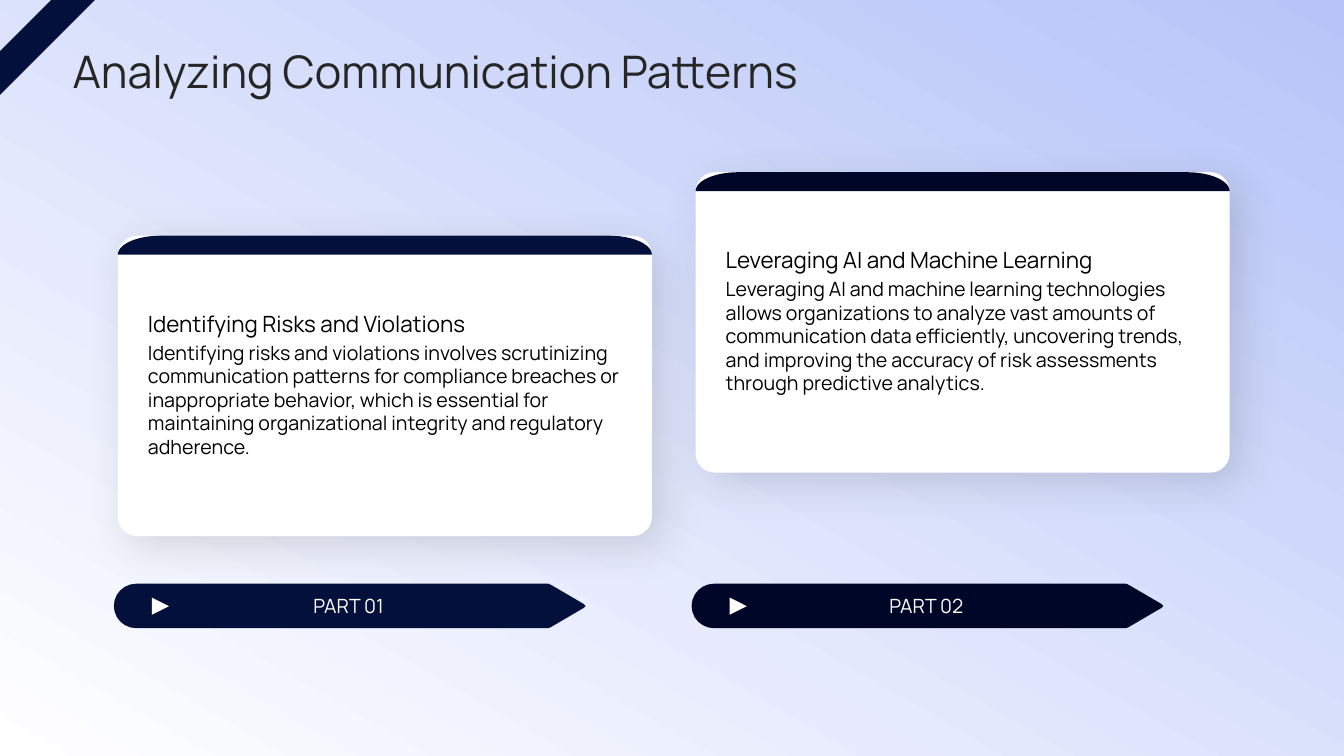
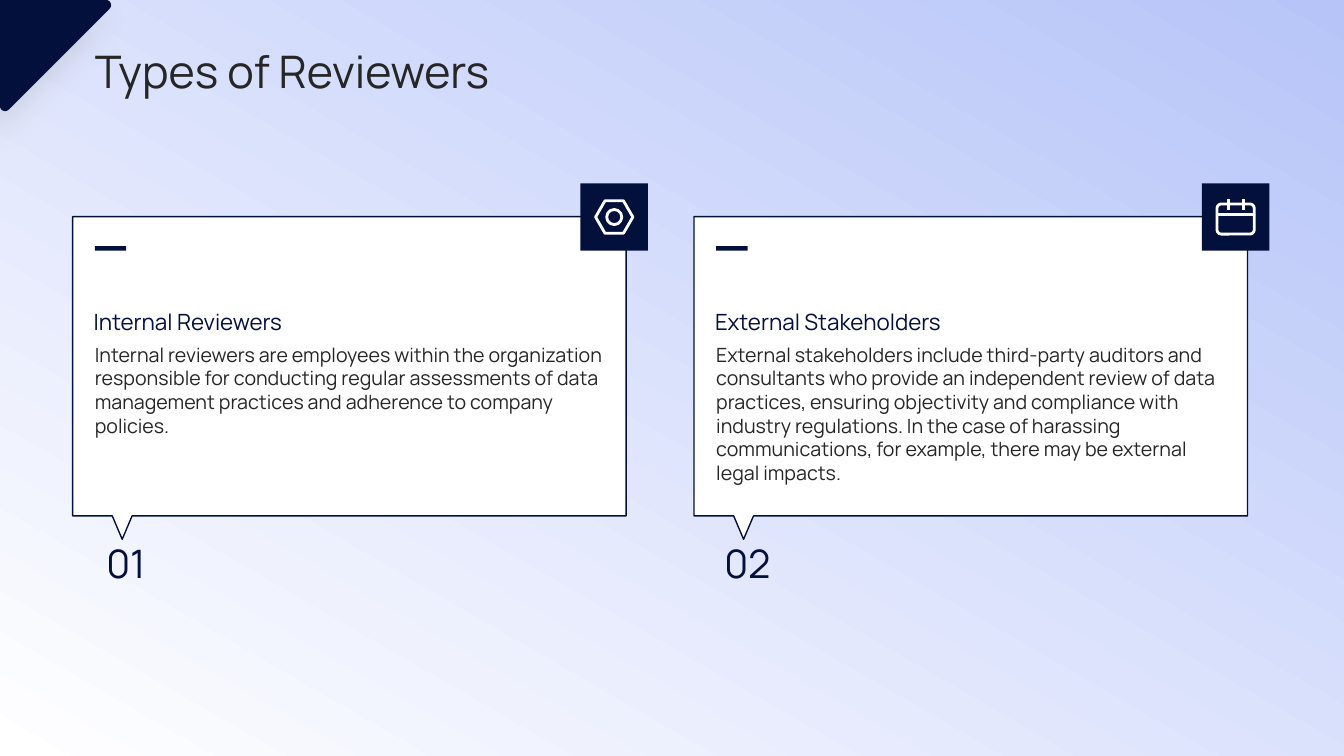
"""Build two slides on reviewing communications."""
from math import cos, radians, sin

from lxml import etree
from pptx import Presentation
from pptx.dml.color import RGBColor
from pptx.enum.shapes import MSO_CONNECTOR, MSO_SHAPE
from pptx.enum.text import MSO_ANCHOR, MSO_AUTO_SIZE, PP_ALIGN
from pptx.oxml.ns import qn
from pptx.util import Cm, Pt

RECT, ROUND = MSO_SHAPE.RECTANGLE, MSO_SHAPE.ROUNDED_RECTANGLE
STRIPE, PLAY = MSO_SHAPE.DIAGONAL_STRIPE, MSO_SHAPE.ISOSCELES_TRIANGLE
HEX, OVAL = MSO_SHAPE.HEXAGON, MSO_SHAPE.OVAL
STRAIGHT = MSO_CONNECTOR.STRAIGHT
TOP, MIDDLE, BOTTOM = MSO_ANCHOR.TOP, MSO_ANCHOR.MIDDLE, MSO_ANCHOR.BOTTOM
LEFT, CENTER = PP_ALIGN.LEFT, PP_ALIGN.CENTER
NO_FIT = MSO_AUTO_SIZE.NONE

FONT = "Manrope"
NAVY, NIGHT, INK = "03103B", "000627", "262626"
WHITE, BLACK, SKY = "FFFFFF", "000000", "B6C4F8"
TITLE_ONLY = 5

PARTS = [
    ("PART 01", 5.94, NAVY, "Identifying Risks and Violations",
     "Identifying risks and violations involves scrutinizing communication "
     "patterns for compliance breaches or inappropriate behavior, which is "
     "essential for maintaining organizational integrity and regulatory "
     "adherence."),
    ("PART 02", 4.34, NIGHT, "Leveraging AI and Machine Learning",
     "Leveraging AI and machine learning technologies allows organizations to "
     "analyze vast amounts of communication data efficiently, uncovering "
     "trends, and improving the accuracy of risk assessments through "
     "predictive analytics."),
]
GROUPS = [
    ("01", "Internal Reviewers",
     "Internal reviewers are employees within the organization responsible "
     "for conducting regular assessments of data management practices and "
     "adherence to company policies."),
    ("02", "External Stakeholders",
     "External stakeholders include third-party auditors and consultants who "
     "provide an independent review of data practices, ensuring objectivity "
     "and compliance with industry regulations. In the case of harassing "
     "communications, for example, there may be external legal impacts."),
]


def rgb(code):
    """Turn a hex string into a colour."""
    return RGBColor.from_string(code)


def arc(x, y, wide, high, start, stop, steps=12):
    """List points on an ellipse, with angles clockwise from the right."""
    turns = [radians(start + (stop - start) * i / steps)
             for i in range(steps + 1)]
    return [(x + wide * cos(t), y + high * sin(t)) for t in turns]


class Deck:
    """Holds the style and the current slide; lengths are centimetres."""

    def __init__(self):
        """Set the slide size and the shared backdrop."""
        self.prs = Presentation()
        self.prs.slide_width, self.prs.slide_height = Cm(33.87), Cm(19.05)
        self.slide = None
        fill = self.prs.slide_master.background.fill
        fill.gradient()
        fill.gradient_angle = 240
        for stop, code in zip(fill.gradient_stops, (SKY, WHITE)):
            stop.color.rgb = rgb(code)

    def start(self, title, x):
        """Add a slide and format its title."""
        layout = self.prs.slide_layouts[TITLE_ONLY]
        self.slide = self.prs.slides.add_slide(layout)
        self.label(self.slide.shapes.title, (x, 1.19, 30, 1.19), title, 32,
                   INK, MIDDLE)

    def label(self, shape, place, words, size, color, anchor, align=LEFT):
        """Place a shape and set its text."""
        shape.left, shape.top, shape.width, shape.height = map(Cm, place)
        frame = shape.text_frame
        frame.word_wrap = True
        frame.auto_size = NO_FIT
        frame.vertical_anchor = anchor
        frame.margin_left = frame.margin_right = 0
        frame.margin_top = frame.margin_bottom = 0
        par = frame.paragraphs[0]
        par.text = words
        par.alignment = align
        font = par.font
        font.name, font.size, font.bold = FONT, Pt(size), False
        font.color.rgb = rgb(color)

    def text(self, place, words, size, color, anchor=TOP, align=LEFT):
        """Add a text box."""
        box = self.slide.shapes.add_textbox(*map(Cm, place))
        self.label(box, place, words, size, color, anchor, align)

    def paint(self, shape, fill, line=None, width=1):
        """Set the fill and line of a shape and drop its shadow."""
        shape.shadow.inherit = False
        if fill:
            shape.fill.solid()
            shape.fill.fore_color.rgb = rgb(fill)
        else:
            shape.fill.background()
        if line:
            shape.line.color.rgb = rgb(line)
            shape.line.width = Pt(width)
        else:
            shape.line.fill.background()
        return shape

    def shape(self, kind, place, fill, line=None, width=1, adj=None):
        """Add a preset shape."""
        shape = self.slide.shapes.add_shape(kind, *map(Cm, place))
        if adj is not None:
            shape.adjustments[0] = adj
        return self.paint(shape, fill, line, width)

    def free(self, x, y, points, fill, line=None):
        """Add a closed outline, with points measured from x, y."""
        spots = [(Cm(x + a), Cm(y + b)) for a, b in points]
        pen = self.slide.shapes.build_freeform(*spots[0])
        pen.add_line_segments(spots[1:], close=True)
        return self.paint(pen.convert_to_shape(), fill, line)

    def line(self, x1, y1, x2, y2, color, width):
        """Add a straight line."""
        line = self.slide.shapes.add_connector(
            STRAIGHT, *map(Cm, (x1, y1, x2, y2)))
        line.line.color.rgb = rgb(color)
        line.line.width = Pt(width)
        etree.SubElement(line._element.spPr, qn("a:effectLst"))

    def shade(self, shape, color, alpha, blur, dist, angle):
        """Give a shape a soft outer shadow."""
        effects = shape._element.spPr.find(qn("a:effectLst"))
        outer = etree.SubElement(
            effects, qn("a:outerShdw"), blurRad=str(Pt(blur)),
            dist=str(Pt(dist)), dir=str(angle * 60000), algn="ctr",
            rotWithShape="0")
        tint = etree.SubElement(outer, qn("a:srgbClr"), val=color)
        etree.SubElement(tint, qn("a:alpha"), val=str(alpha * 1000))

    def card(self, x, y, color, head, body):
        """Add a rounded card with a coloured cap."""
        wide, cap, bend = 13.46, 0.48, 1.08
        base = self.shape(ROUND, (x, y, wide, 7.57), WHITE, adj=0.064)
        self.shade(base, INK, 15, 30, 10, 45)
        rim = (arc(bend, cap, bend, cap, 180, 270)
               + arc(wide - bend, cap, bend, cap, 270, 360))
        self.free(x, y, rim, color)
        self.text((x + 0.76, y + 0.64, 11.96, 1.9), head, 16, BLACK, BOTTOM)
        self.text((x + 0.76, y + 2.64, 11.96, 4.55), body, 14, BLACK)

    def banner(self, x, y, color, words):
        """Add a pointed bar with a play mark and its wording."""
        half = 0.56
        nose = [(10.95, 0), (11.02, 0.03), (11.84, 0.51), (11.89, half)]
        under = [(a, 2 * half - b) for a, b in nose[-2::-1]]
        self.free(x, y, arc(half, half, half, half, 90, 270) + nose + under,
                  color)
        mark = self.shape(PLAY, (x + 0.96, y + 0.35, 0.43, 0.43), WHITE)
        mark.rotation = 90
        self.text((x + 2.69, y + 0.15, 6.45, 0.81), words, 14, WHITE, MIDDLE,
                  CENTER)

    def callout(self, x, y, number, head, body):
        """Add a framed note with a pointer to its number."""
        wide, high = 13.95, 7.54
        self.free(x, y, [(0, 0), (wide, 0), (wide, high), (1.5, high),
                         (1.25, 8.13), (1, high), (0, high)], WHITE, NAVY)
        self.shape(RECT, (x + 0.56, y + 0.74, 0.79, 0.12), NAVY)
        self.text((x + 0.53, y + 0.99, 12.88, 1.98), head, 16, NAVY, BOTTOM)
        self.text((x + 0.56, y + 3.18, 12.85, 4.01), body, 14, INK)
        self.text((x + 0.53, y + 8.13, 1.63, 1.32), number, 28, NAVY,
                  align=CENTER)
        self.shape(RECT, (x + 12.8, y - 0.84, 1.7, 1.7), NAVY)

    def nut(self, x, y):
        """Draw a nut icon in a square tile."""
        self.shape(HEX, (x + 0.38, y + 0.44, 0.94, 0.82), None, WHITE, 2,
                   0.29)
        self.shape(OVAL, (x + 0.66, y + 0.66, 0.38, 0.38), None, WHITE, 2)

    def dates(self, x, y):
        """Draw a calendar icon in a square tile."""
        self.shape(ROUND, (x + 0.38, y + 0.52, 0.94, 0.76), None, WHITE, 2,
                   0.14)
        self.line(x + 0.38, y + 0.78, x + 1.32, y + 0.78, WHITE, 2)
        for ring in (0.67, 1.05):
            self.line(x + ring, y + 0.4, x + ring, y + 0.66, WHITE, 2)


def main():
    """Build and save both slides."""
    deck = Deck()

    deck.start("Analyzing Communication Patterns", 1.83)
    deck.shape(STRIPE, (0, 0, 2.39, 2.39), NAVY, adj=0.54)
    for i, (words, y, color, head, body) in enumerate(PARTS):
        x = 2.97 + 14.56 * i
        deck.card(x, y, color, head, body)
        deck.banner(x - 0.1, 14.71, color, words)

    deck.start("Types of Reviewers", 2.39)
    bend, reach = 0.13, 2.67
    corner = deck.free(0, 0, [(0, 0)] + arc(reach, bend, bend, bend, -90, 45)
                       + arc(bend, reach, bend, bend, 45, 180), NAVY)
    deck.shade(corner, "808080", 30, 25, 15, 135)
    for i, (group, icon) in enumerate(zip(GROUPS, (deck.nut, deck.dates))):
        x = 1.83 + 15.66 * i
        deck.callout(x, 5.46, *group)
        icon(x + 12.8, 4.62)

    deck.prs.save("out.pptx")


if __name__ == "__main__":
    main()
